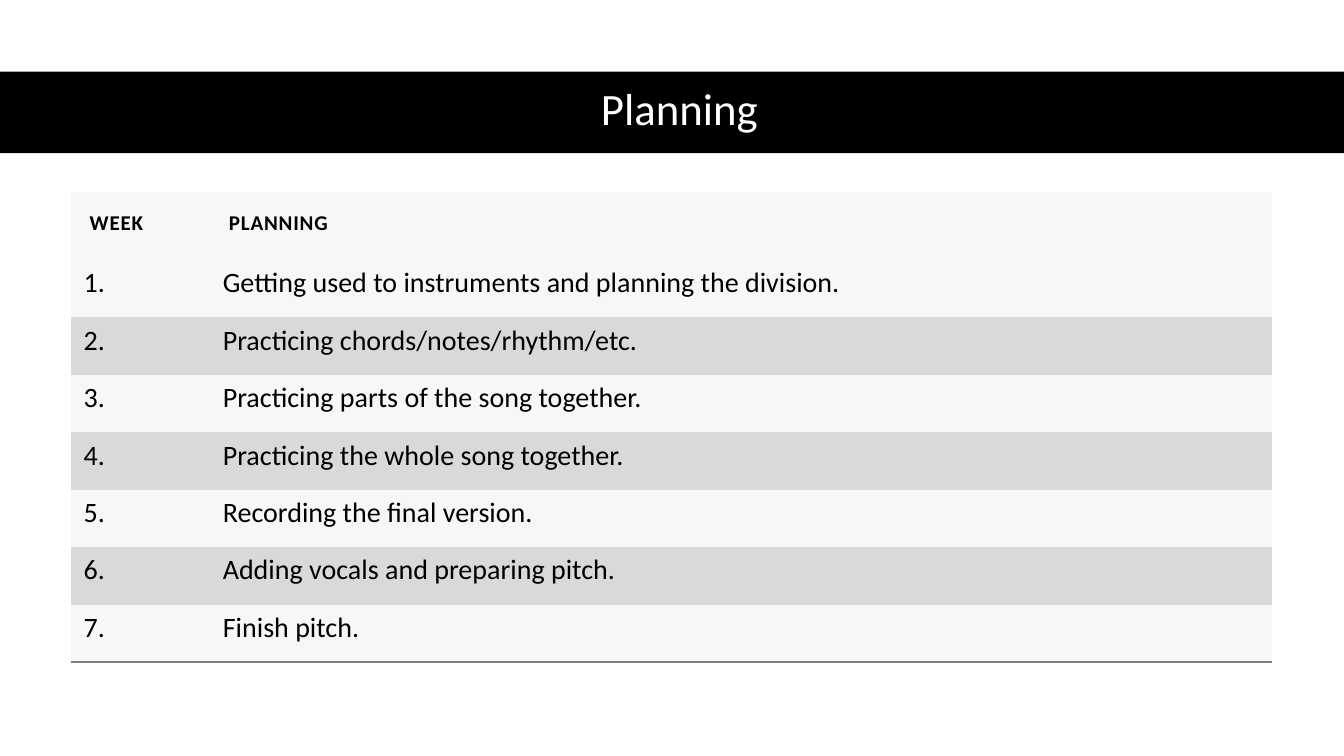
"""Build the planning slide with a title band and a weekly table."""
from dataclasses import dataclass

from pptx import Presentation
from pptx.dml.color import RGBColor as Rgb
from pptx.enum.shapes import MSO_SHAPE as Shape
from pptx.enum.text import MSO_ANCHOR as Anchor, PP_ALIGN as Align
from pptx.oxml import parse_xml
from pptx.oxml.ns import nsdecls, qn
from pptx.util import Inches, Pt


@dataclass(frozen=True)
class Theme:
    face: str = "Calibri"
    black: str = "000000"
    white: str = "FFFFFF"
    pale: str = "F7F7F7"
    gray: str = "D9D9D9"
    rule: str = "808080"
    title: int = 32
    head: int = 15
    body: int = 20


class Deck:
    def __init__(self, theme):
        self.theme = theme
        self.prs = Presentation()
        self.prs.slide_width, self.prs.slide_height = Inches(13.33), Inches(7.5)
        self.slide = self.prs.slides.add_slide(self.prs.slide_layouts[5])

    def style(self, item, form):
        for name, value in form.items():
            setattr(item, name, value)

    def label(self, frame, text, size, color, bold=False):
        para = frame.paragraphs[0]
        run = para.add_run()
        run.text = text
        self.style(run.font, {"name": self.theme.face, "size": Pt(size), "bold": bold})
        run.font.color.rgb = Rgb.from_string(color)
        return para, run

    def band(self, *box):
        band = self.slide.shapes.add_shape(Shape.RECTANGLE, *map(Inches, box))
        band.shadow.inherit = False
        band.fill.solid()
        band.fill.fore_color.rgb = Rgb.from_string(self.theme.black)
        band.line.fill.background()
        self.slide.shapes.title.element.addprevious(band.element)

    def title(self, text, *box):
        title = self.slide.shapes.title
        self.style(title, dict(zip(("left", "top", "width", "height"), map(Inches, box))))
        frame = title.text_frame
        self.style(frame, {"vertical_anchor": Anchor.MIDDLE, "word_wrap": True})
        para, _ = self.label(frame, text, self.theme.title, self.theme.white)
        self.style(para, {"alignment": Align.CENTER, "line_spacing": 0.9})

    def cell(self, cell, text, fill, size, pads, bold=False):
        sides = ("left", "top", "right", "bottom")
        self.style(cell, {f"margin_{side}": Inches(pad) for side, pad in zip(sides, pads)})
        cell.fill.solid()
        cell.fill.fore_color.rgb = Rgb.from_string(fill)
        return self.label(cell.text_frame, text, size, self.theme.black, bold)[1]

    def rule(self, cell):
        line = parse_xml(
            f'<a:lnB {nsdecls("a")} w="{Pt(1)}"><a:solidFill>'
            f'<a:srgbClr val="{self.theme.rule}"/></a:solidFill></a:lnB>')
        cell._tc.get_or_add_tcPr().insert(0, line)

    def table(self, heads, tasks, box, cols, tall, row):
        look = self.theme
        frame = self.slide.shapes.add_table(len(tasks) + 1, len(cols), *map(Inches, box))
        plain = "{2D5ABB26-0587-4C30-8999-92F81FD0307C}"
        frame.element.find(".//" + qn("a:tableStyleId")).text = plain
        table = frame.table
        self.style(table, {"first_row": False, "horz_banding": False})
        for col, width in zip(table.columns, cols):
            col.width = Inches(width)
        for line, height in zip(table.rows, [tall] + [row] * len(tasks)):
            line.height = Inches(height)
        for col, text in enumerate(heads):
            run = self.cell(table.cell(0, col), text, look.pale, look.head, [0.19] * 4, True)
            run.font._element.set("spc", "60")
        for week, task in enumerate(tasks, 1):
            fill = look.pale if week % 2 else look.gray
            for col, text in enumerate((f"{week}.", task)):
                self.cell(table.cell(week, col), text, fill, look.body,
                          (0.13, 0.06, 0.13, 0.13))
        for col in range(len(cols)):
            self.rule(table.cell(len(tasks), col))


def main():
    deck = Deck(Theme())
    deck.band(0, 0.71, 13.33, 0.81)
    deck.title("Planning", 0.61, 0.7, 12.26, 0.81)
    tasks = (
        "Getting used to instruments and planning the division.",
        "Practicing chords/notes/rhythm/etc.",
        "Practicing parts of the song together.",
        "Practicing the whole song together.",
        "Recording the final version.",
        "Adding vocals and preparing pitch.",
        "Finish pitch.",
    )
    deck.table(("WEEK", "PLANNING"), tasks, (0.7, 1.9, 11.92, 4.67),
               (1.38, 10.54), 0.68, 0.57)
    deck.prs.save("out.pptx")


if __name__ == "__main__":
    main()
